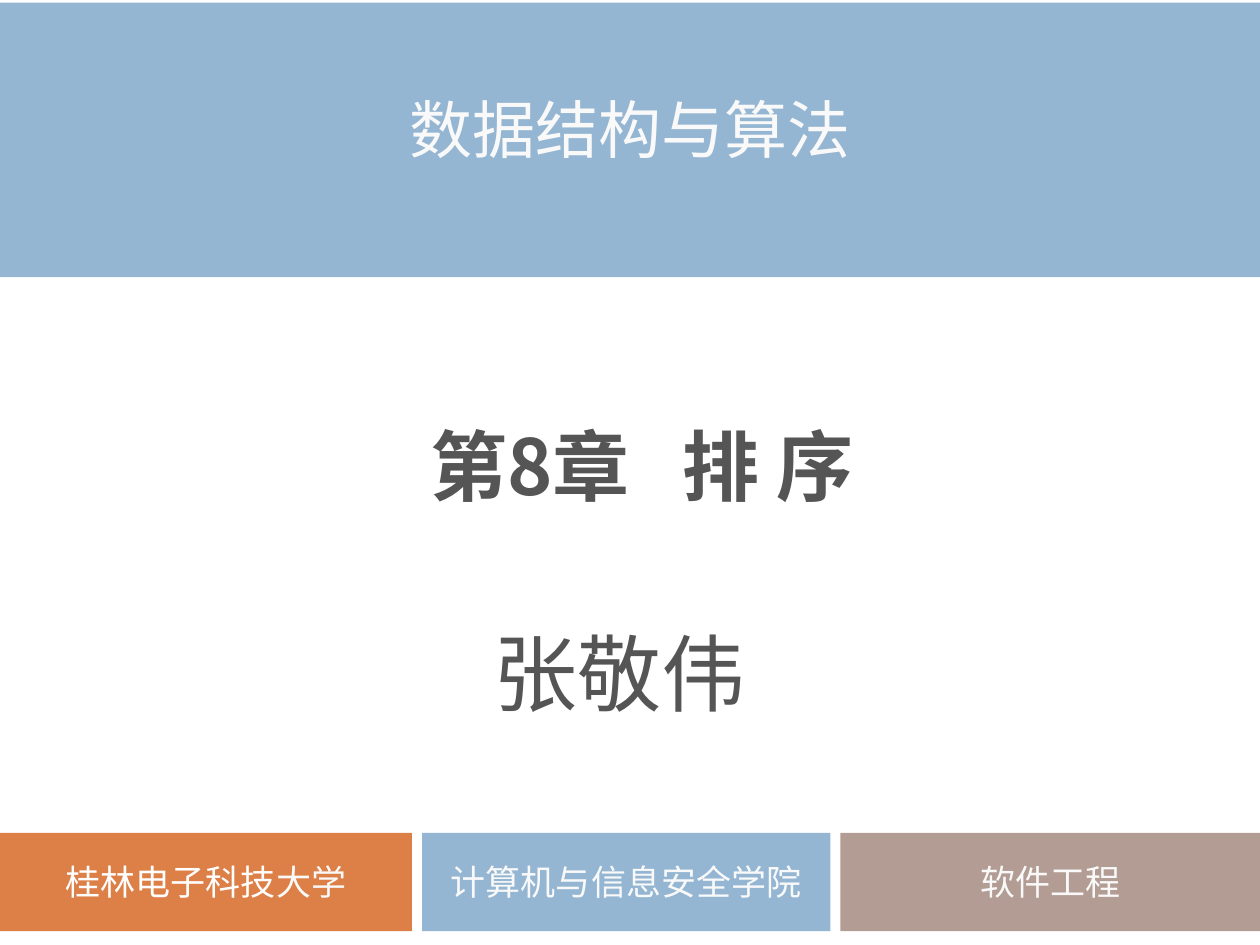
from dataclasses import dataclass

from lxml.etree import SubElement
from pptx import Presentation
from pptx.dml.color import RGBColor
from pptx.enum.shapes import MSO_SHAPE
from pptx.enum.text import MSO_ANCHOR, MSO_AUTO_SIZE, PP_ALIGN
from pptx.oxml.ns import qn
from pptx.util import Inches, Pt


@dataclass(frozen=True)
class Theme:
    blue: str = "94B6D2"
    orange: str = "DD8047"
    taupe: str = "B29C93"
    light: str = "F9F9F9"
    white: str = "FFFFFF"
    dark: str = "555555"
    latin: str = "Cabin"
    serif: str = "Times New Roman"
    sans_sc: str = "Noto Sans CJK SC"
    sans_jp: str = "Noto Sans CJK JP"
    label_size: int = 20
    course_size: int = 36
    chapter_size: int = 44
    author_size: int = 48


THEME = Theme()
WIDTH, HEIGHT = 10, 7.5
GAP = 0.08  # between the tiles of the footer


def put_text(shape, *runs, size, color, font, asian=THEME.sans_sc, bold=False,
             anchor=MSO_ANCHOR.MIDDLE, line_spacing=None, margin=None):
    """Write one centred paragraph; a run is (text, format overrides)."""
    frame = shape.text_frame
    frame.word_wrap = True
    frame.auto_size = MSO_AUTO_SIZE.NONE
    frame.vertical_anchor = anchor
    if margin is not None:
        frame.margin_left = frame.margin_right = Inches(margin)
        frame.margin_top = frame.margin_bottom = Inches(margin)
    paragraph = frame.paragraphs[0]
    paragraph.alignment = PP_ALIGN.CENTER
    if line_spacing:
        paragraph.line_spacing = Pt(line_spacing)
    for text, override in runs:
        run = paragraph.add_run()
        run.text = text
        run.font.size = Pt(size)
        run.font.bold = bold
        run.font.name = font
        run.font.color.rgb = RGBColor.from_string(override.get("color", color))
        properties = run.font._element
        SubElement(properties, qn("a:ea")).set("typeface", asian)
        if "tracking" in override:
            properties.set("spc", str(override["tracking"] * 100))


def place(shape, left, top, width, height):
    shape.left, shape.top = Inches(left), Inches(top)
    shape.width, shape.height = Inches(width), Inches(height)


def add_block(slide, left, top, width, height, fill):
    block = slide.shapes.add_shape(
        MSO_SHAPE.RECTANGLE, *map(Inches, (left, top, width, height)))
    block.shadow.inherit = False
    block.fill.solid()
    block.fill.fore_color.rgb = RGBColor.from_string(fill)
    block.line.fill.background()
    return block


def add_banner(slide):
    banner = add_block(slide, 0, 0.02, WIDTH, 2.18, THEME.blue)
    put_text(banner, ("数据结构与算法", {}), size=THEME.course_size,
             color=THEME.light, font=THEME.serif, line_spacing=30)


def add_chapter(slide):
    chapter = slide.shapes.title
    place(chapter, 0.71, 3, 8.77, 1.38)
    # The tracked space parts the number from the subject
    put_text(chapter, ("第8章", {}), (" ", {"tracking": 20}), ("排 序", {}),
             size=THEME.chapter_size, color=THEME.dark, font=THEME.sans_sc,
             bold=True, margin=0)


def add_author(slide):
    author = slide.shapes.add_textbox(*map(Inches, (2.94, 4.88, 3.96, 0.91)))
    put_text(author, ("张敬伟", {}), size=THEME.author_size, color=THEME.dark,
             font=THEME.sans_jp, asian=THEME.sans_jp, anchor=MSO_ANCHOR.TOP)


def add_footer(slide):
    university = [("桂林电子科技", {"color": THEME.white}), ("大学", {})]
    tiles = [
        (3.27, THEME.orange, university),
        (3.24, THEME.blue, [("计算机与信息安全学院", {})]),
        (3.33, THEME.taupe, [("软件工程", {})]),
    ]
    left = 0
    for width, fill, label in tiles:
        tile = add_block(slide, left, 6.61, width, 0.78, fill)
        put_text(tile, *label, size=THEME.label_size, color=THEME.light,
                 font=THEME.latin)
        left += width + GAP


def main():
    deck = Presentation()
    deck.slide_width, deck.slide_height = Inches(WIDTH), Inches(HEIGHT)
    slide = deck.slides.add_slide(deck.slide_layouts[5])  # title only
    add_banner(slide)
    add_chapter(slide)
    add_author(slide)
    add_footer(slide)
    deck.save("out.pptx")


if __name__ == "__main__":
    main()
